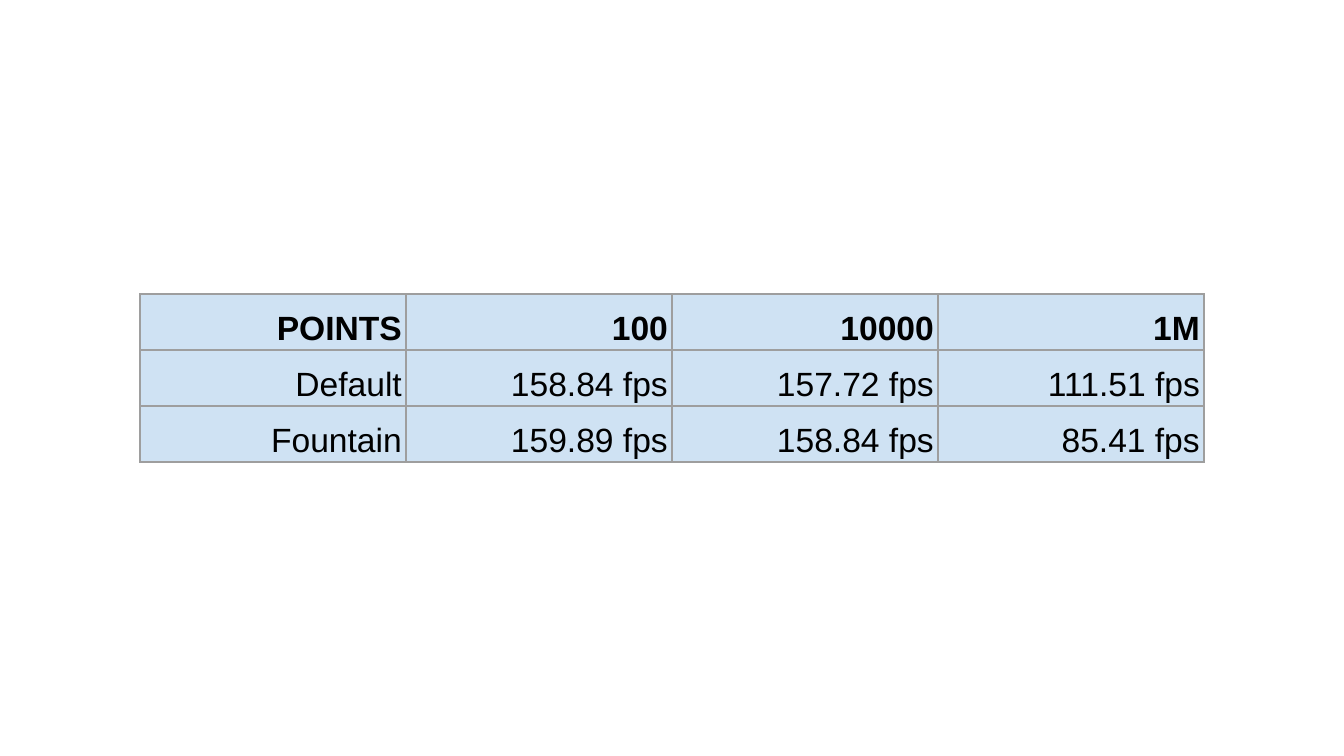
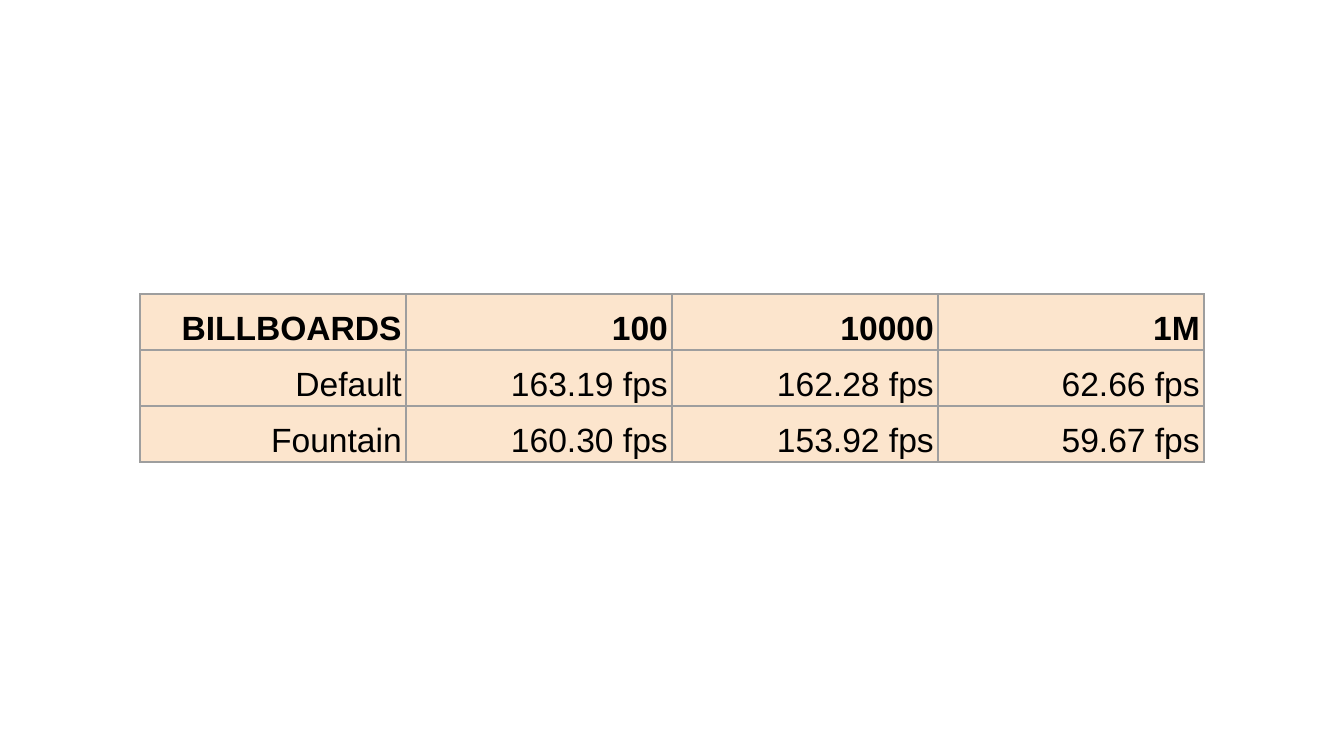
from dataclasses import dataclass

from lxml.etree import SubElement
from pptx import Presentation
from pptx.dml.color import RGBColor
from pptx.enum.text import MSO_ANCHOR, PP_ALIGN
from pptx.oxml.ns import qn
from pptx.slide import Slide
from pptx.table import _Cell
from pptx.util import Emu, Pt

BLACK = RGBColor(0x00, 0x00, 0x00)
GREY = RGBColor(0x9E, 0x9E, 0x9E)
BLUE = RGBColor(0xCF, 0xE2, 0xF3)
PEACH = RGBColor(0xFC, 0xE5, 0xCD)
FONT = "Arial"
COUNTS = ("100", "10000", "1M")
LEFT, TOP = 100, 210
WIDE, HIGH = 190, 40


@dataclass(frozen=True)
class Bench:
    name: str
    fill: RGBColor
    rates: dict[str, tuple[str, ...]]


BENCHES = (
    Bench("POINTS", BLUE, {
        "Default": ("158.84", "157.72", "111.51"),
        "Fountain": ("159.89", "158.84", "85.41"),
    }),
    Bench("BILLBOARDS", PEACH, {
        "Default": ("163.19", "162.28", "62.66"),
        "Fountain": ("160.30", "153.92", "59.67"),
    }),
)


def px(count: int) -> Emu:
    return Emu(count * 9525)


def add_edges(cell: _Cell) -> None:
    props = cell._tc.get_or_add_tcPr()
    for side in ("L", "R", "T", "B"):
        line = SubElement(props, qn(f"a:ln{side}"), w=str(Pt(0.75)))
        fill = SubElement(line, qn("a:solidFill"))
        SubElement(fill, qn("a:srgbClr"), val=str(GREY))


def fill_cell(cell: _Cell, text: str, fill: RGBColor, bold: bool) -> None:
    add_edges(cell)
    cell.fill.solid()
    cell.fill.fore_color.rgb = fill
    cell.margin_left = cell.margin_right = px(3)
    cell.margin_top = cell.margin_bottom = px(2)
    cell.vertical_anchor = MSO_ANCHOR.BOTTOM
    cell.text = text
    para = cell.text_frame.paragraphs[0]
    para.alignment = PP_ALIGN.RIGHT
    para.line_spacing = 1.15
    font = para.font
    font.name, font.size, font.bold = FONT, Pt(18), bold
    font.color.rgb = BLACK


def add_bench(slide: Slide, bench: Bench) -> None:
    rows = [(bench.name, *COUNTS)]
    rows += [(mode, *(f"{rate} fps" for rate in rates))
             for mode, rates in bench.rates.items()]
    cols = len(rows[0])
    table = slide.shapes.add_table(
        len(rows), cols, px(LEFT), px(TOP),
        px(WIDE * cols), px(HIGH * len(rows))).table
    table.first_row = table.horz_banding = False
    for row, texts in enumerate(rows):
        for col, text in enumerate(texts):
            fill_cell(table.cell(row, col), text, bench.fill, row == 0)


def main() -> None:
    deck = Presentation()
    deck.slide_width, deck.slide_height = px(960), px(540)
    for bench in BENCHES:
        add_bench(deck.slides.add_slide(deck.slide_layouts[6]), bench)
    deck.save("out.pptx")


if __name__ == "__main__":
    main()
